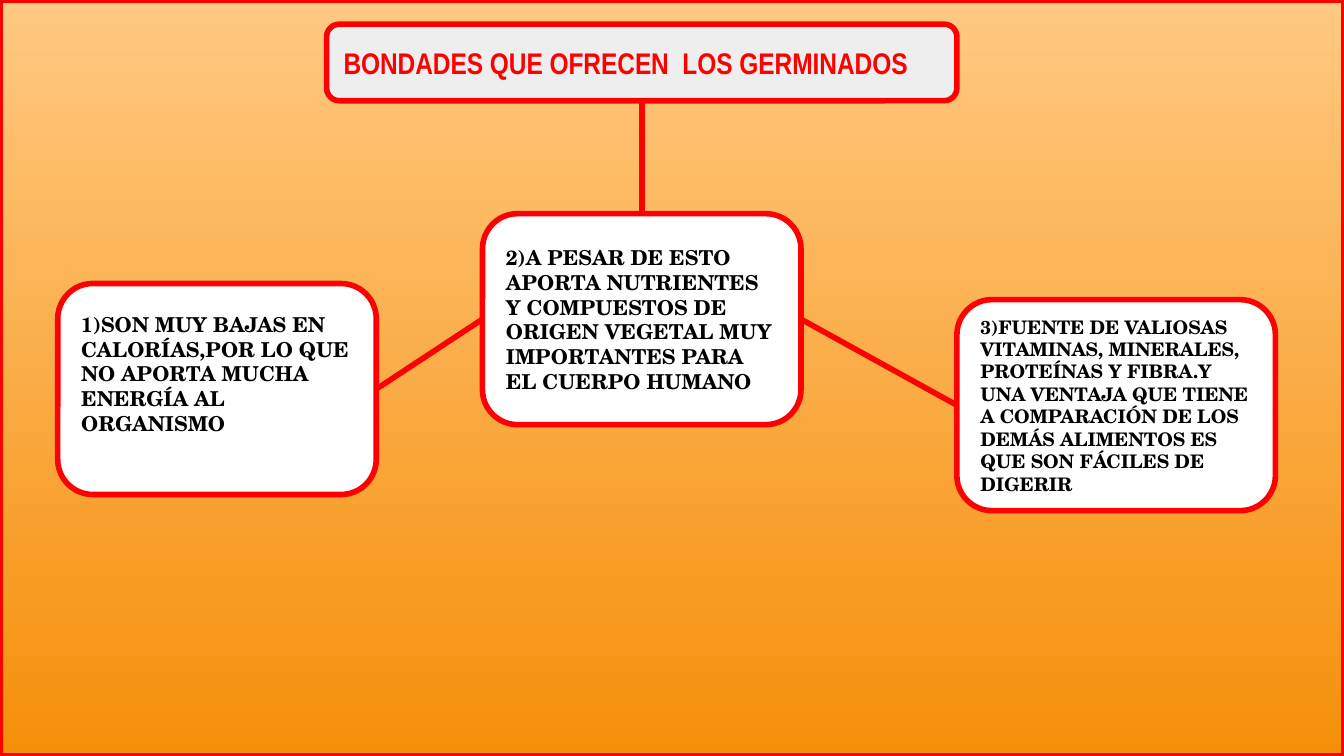
from lxml import etree
from pptx import Presentation
from pptx.dml.color import RGBColor
from pptx.enum import shapes, text
from pptx.oxml import ns
from pptx.util import Inches, Pt

RED = RGBColor(0xFF, 0x00, 0x00)
BLACK = RGBColor(0x00, 0x00, 0x00)
WHITE = RGBColor(0xFF, 0xFF, 0xFF)
GREY = RGBColor(0xEE, 0xEE, 0xEE)
PEACH = RGBColor(0xFF, 0xC9, 0x82)
ORANGE = RGBColor(0xF5, 0x8F, 0x09)

WIDE = 10
HIGH = WIDE * 9 / 16
BOX_W, BOX_H = 2.37, 1.57
PAD = 0.1
TOP, LEFT, BOTTOM, RIGHT = range(4)  # connection sites of a rounded box


class Map:
    """Concept map with red outlines on one slide."""

    body = "TeX Gyre Schola"
    head = "Arial Narrow"
    line = Pt(3)

    def __init__(self, slide):
        self.items = slide.shapes

    def shape(self, kind, x, y, w, h):
        item = self.items.add_shape(kind, *map(Inches, (x, y, w, h)))
        item.shadow.inherit = False
        self.stroke(item)
        return item

    def stroke(self, item):
        item.line.color.rgb = RED
        item.line.width = self.line

    def back(self):
        item = self.shape(shapes.MSO_SHAPE.RECTANGLE, 0, 0, WIDE, HIGH)
        item.fill.gradient()
        item.fill.gradient_angle = 270
        for stop, place, color in zip(item.fill.gradient_stops, (0, 1), (PEACH, ORANGE)):
            stop.position = place
            stop.color.rgb = color

    def box(self, words, x, y, w=BOX_W, h=BOX_H, size=11, font=body,
            ink=BLACK, fill=WHITE, lift=0):
        """Rounded box; lift is extra room below the text."""
        item = self.shape(shapes.MSO_SHAPE.ROUNDED_RECTANGLE, x, y, w, h)
        item.fill.solid()
        item.fill.fore_color.rgb = fill
        frame = item.text_frame
        frame.text = words
        frame.word_wrap = True
        frame.vertical_anchor = text.MSO_ANCHOR.MIDDLE
        frame.margin_left = frame.margin_right = frame.margin_top = Inches(PAD)
        frame.margin_bottom = Inches(PAD + lift)
        para = frame.paragraphs[0]
        para.alignment = text.PP_ALIGN.LEFT
        for run in para.runs:
            run.font.name = font
            run.font.size = Pt(size)
            run.font.bold = True
            run.font.color.rgb = ink
        return item

    def link(self, start, out, end, into):
        item = self.items.add_connector(shapes.MSO_CONNECTOR.STRAIGHT, 0, 0, 0, 0)
        item.begin_connect(start, out)
        item.end_connect(end, into)
        self.stroke(item)
        etree.SubElement(item._element.spPr, ns.qn("a:effectLst"))


def main():
    deck = Presentation()
    deck.slide_width, deck.slide_height = Inches(WIDE), Inches(HIGH)
    chart = Map(deck.slides.add_slide(deck.slide_layouts[6]))

    chart.back()
    title = chart.box("BONDADES QUE OFRECEN  LOS GERMINADOS", 2.43, 0.18, 4.69, 0.57,
                      size=16, font=Map.head, ink=RED, fill=GREY)
    energy = chart.box("1)SON MUY BAJAS EN CALORÍAS,POR LO QUE NO APORTA MUCHA "
                       "ENERGÍA AL ORGANISMO", 0.43, 2.11, lift=0.23)
    plants = chart.box("2)A PESAR DE ESTO APORTA NUTRIENTES Y COMPUESTOS DE ORIGEN "
                       "VEGETAL MUY IMPORTANTES PARA EL CUERPO HUMANO", 3.59, 1.59)
    fibre = chart.box("3)FUENTE DE VALIOSAS VITAMINAS, MINERALES, PROTEÍNAS Y FIBRA.Y "
                      "UNA VENTAJA QUE TIENE A COMPARACIÓN DE LOS DEMÁS ALIMENTOS ES "
                      "QUE SON FÁCILES DE DIGERIR", 7.12, 2.23, size=10)

    chart.link(title, BOTTOM, plants, TOP)
    chart.link(plants, LEFT, energy, RIGHT)
    chart.link(plants, RIGHT, fibre, LEFT)
    deck.save("out.pptx")


if __name__ == "__main__":
    main()
